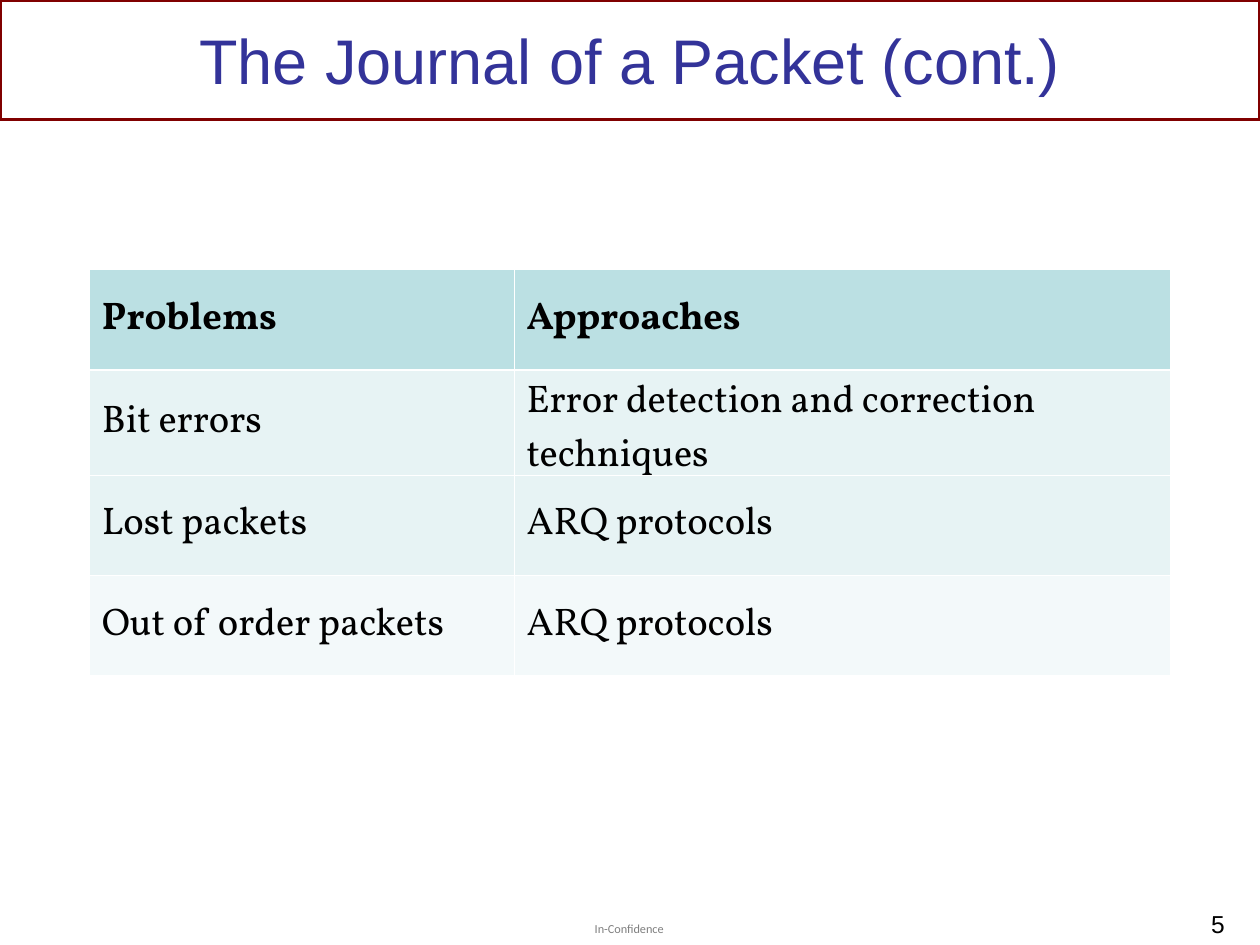
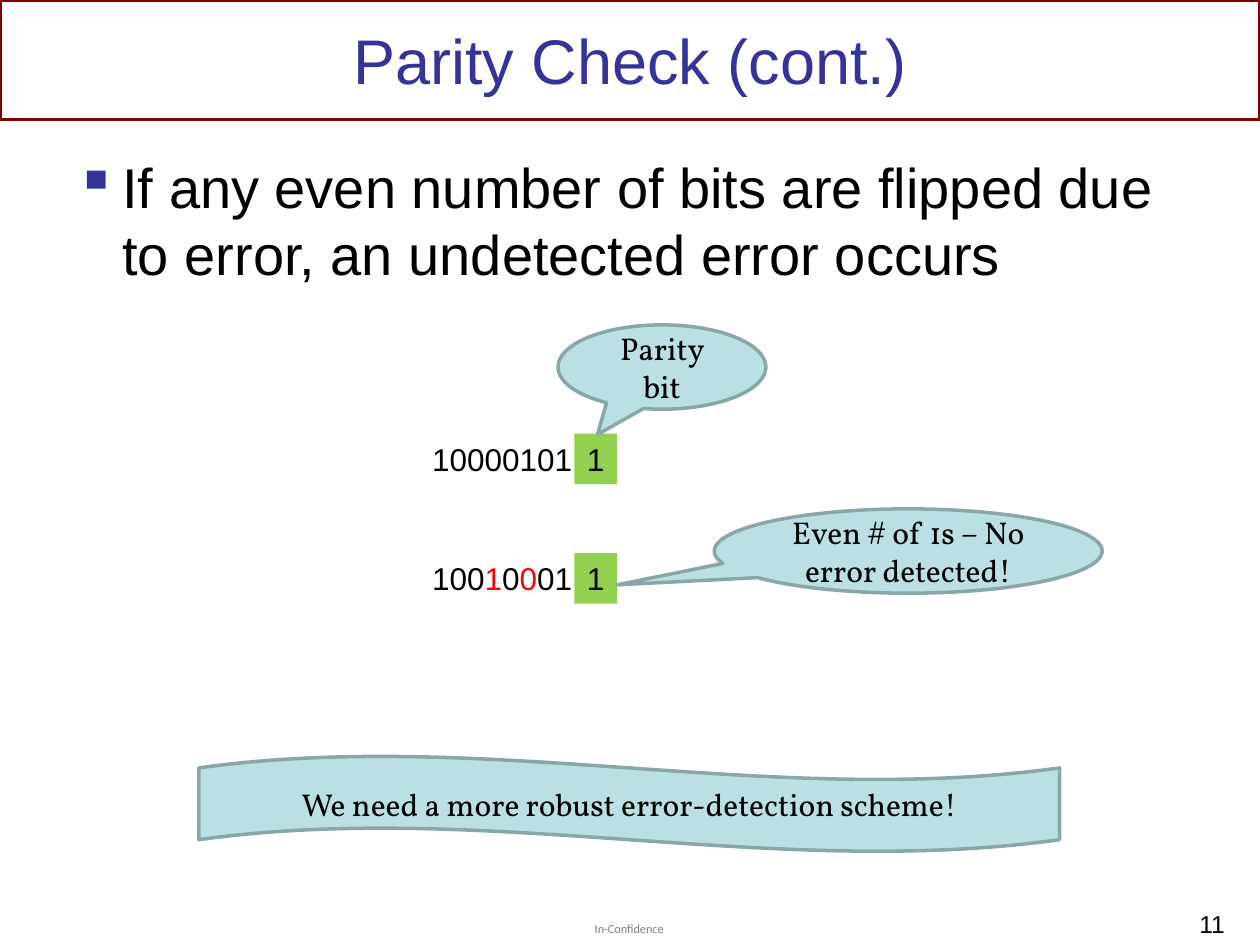
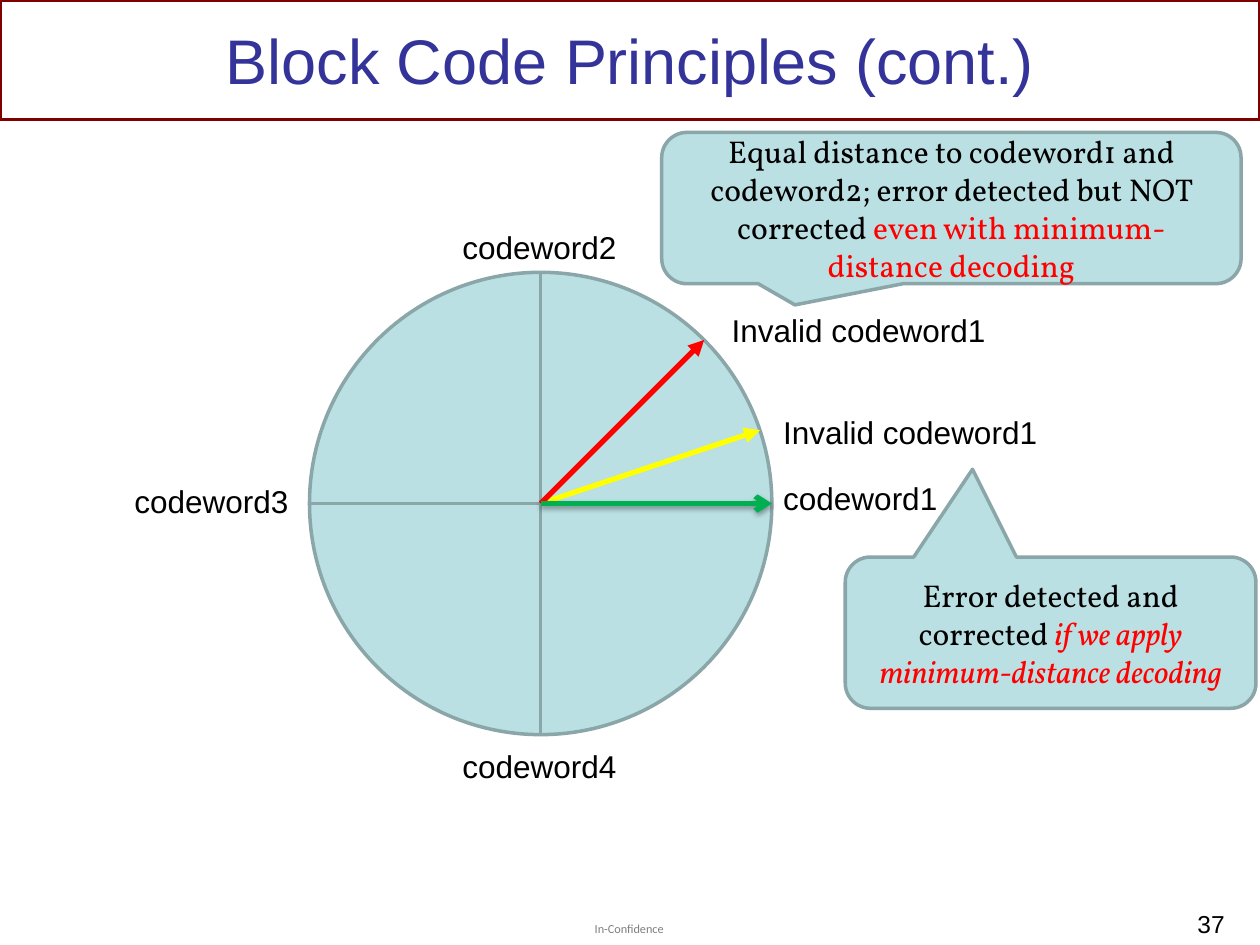
import math
import pptx
import pptx.util
import pptx.dml.color
import pptx.enum.shapes
import pptx.enum.text
import pptx.oxml
import pptx.oxml.ns

Cm, Pt = pptx.util.Cm, pptx.util.Pt
Kind = pptx.enum.shapes.MSO_SHAPE
Align = pptx.enum.text.PP_ALIGN
Anchor = pptx.enum.text.MSO_ANCHOR

# Shared look
HUES = {
    "band": "800000", "title": "333399", "ink": "000000", "foot": "7F7F7F",
    "aqua": "BBE0E3", "edge": "8AA6A8", "bit": "92D050", "red": "FF0000",
    "yellow": "FFFF00", "green": "00B050", "pale": "E7F3F4",
    "light": "F3F9FA", "white": "FFFFFF",
}
SANS, SERIF = "Arial", "Vollkorn"
FOOT = "In-Confidence"

# Content of the table slide
ROWS = [
    ("Problems", "Approaches"),
    ("Bit errors", "Error detection and correction techniques"),
    ("Lost packets", "ARQ protocols"),
    ("Out of order packets", "ARQ protocols"),
]
TINTS = ["aqua", "pale", "pale", "light"]
COLS, ROW = (8.56, 13.23), 2.02

# Content of the parity slide
POINT = "If any even number of bits are flipped due to error, an undetected error occurs"
WORDS = [
    (8.74, [("10000101", "ink")]),
    (11.15, [("100", "ink"), ("1", "red"), ("0", "ink"), ("0", "red"), ("01", "ink")]),
]
NOTES = [
    (Kind.OVAL_CALLOUT, (11.25, 6.55, 4.19, 1.7), (-0.31, 0.8), "Parity bit"),
    (Kind.OVAL_CALLOUT, (14.4, 10.26, 7.82, 1.7), (-0.75, 0.4),
     "Even # of 1s – No error detected!"),
    (Kind.WAVE, (4.01, 15.24, 17.35, 1.93), (),
     "We need a more robust error-detection scheme!"),
]

# Content of the block code slide
MID, RAD = (10.9, 10.15), 4.66
LABELS = [
    ("codeword2", 9.07, 4.47), ("codeword1", 15.54, 9.53),
    ("codeword3", 2.46, 9.6), ("codeword4", 9.07, 14.94),
    ("Invalid codeword1", 15.54, 8.2), ("Invalid codeword1", 14.5, 6.15),
]
RAYS = [("yellow", 18.5, "triangle"), ("red", 45, "triangle"), ("green", 0, "arrow")]
CLAIMS = [
    ((17.04, 11.23, 8.28, 3.05), (-0.19, -1.08),
     [("Error detected and corrected ", "ink"),
      ("if we apply minimum-distance decoding", "red", True)]),
    ((13.34, 2.67, 11.68, 3.05), (-0.27, 0.64),
     [("Equal distance to codeword1 and codeword2; error detected but NOT corrected ", "ink"),
      ("even with minimum-distance decoding", "red")]),
]


def rgb(hue):
    return pptx.dml.color.RGBColor.from_string(HUES[hue])


def add_xml(node, tag, body="", attrs=""):
    space = pptx.oxml.ns.nsdecls("a")
    node.append(pptx.oxml.parse_xml(f"<a:{tag} {space} {attrs}>{body}</a:{tag}>"))


def tint(tag, hue, extra=""):
    return f'<a:{tag}><a:srgbClr val="{HUES[hue]}">{extra}</a:srgbClr></a:{tag}>'


def write(frame, text, size=18, face=SANS, hue="ink", align=Align.LEFT, bold=False):
    """Fill the first paragraph with a string or a list of coloured runs."""
    para = frame.paragraphs[0]
    para.alignment = align
    font = para.font
    font.size, font.name, font.bold = Pt(size), face, bold
    if isinstance(text, str):
        para.add_run().text = text
        font.color.rgb = rgb(hue)
        return
    for words, shade, *slant in text:
        run = para.add_run()
        run.text = words
        run.font.color.rgb = rgb(shade)
        if slant:
            run.font.italic = True


def add_text(slide, box, text, wrap=True, anchor=Anchor.TOP, **look):
    frame = slide.shapes.add_textbox(*map(Cm, box)).text_frame
    frame.word_wrap, frame.vertical_anchor = wrap, anchor
    write(frame, text, **look)
    return frame


def add_form(slide, kind, box, fill=None, edge=None, adjust=()):
    form = slide.shapes.add_shape(kind, *map(Cm, box))
    form.shadow.inherit = False
    if fill:
        form.fill.solid()
        form.fill.fore_color.rgb = rgb(fill)
    else:
        form.fill.background()
    if edge:
        form.line.color.rgb, form.line.width = rgb(edge), Pt(2)
    else:
        form.line.fill.background()
    for i, value in enumerate(adjust):
        form.adjustments[i] = value
    return form


def add_note(slide, kind, box, adjust, text):
    frame = add_form(slide, kind, box, "aqua", "edge", adjust).text_frame
    frame.word_wrap, frame.vertical_anchor = True, Anchor.MIDDLE
    write(frame, text, face=SERIF, align=Align.CENTER)


def add_ray(slide, hue, angle, head):
    turn = math.radians(angle)
    tip = MID[0] + RAD * math.cos(turn), MID[1] - RAD * math.sin(turn)
    ray = slide.shapes.add_connector(
        pptx.enum.shapes.MSO_CONNECTOR.STRAIGHT, *map(Cm, MID + tip))
    ray.line.color.rgb, ray.line.width = rgb(hue), Pt(3)
    add_xml(ray.line._get_or_add_ln(), "tailEnd", attrs=f'type="{head}"')
    glow = ""
    if hue == "green":
        shade = tint("outerShdw", "ink", '<a:alpha val="38000"/>')
        glow = shade.replace("outerShdw", 'outerShdw blurRad="40000" dist="20000" '
                             'dir="5400000" rotWithShape="0"', 1)
    add_xml(ray._element.spPr, "effectLst", glow)


def start(deck, title, number):
    """Add a slide with the band, footer, title and number."""
    slide = deck.slides.add_slide(deck.slide_layouts[6])
    add_form(slide, Kind.RECTANGLE, (0, 0, 25.4, 2.41), edge="band")
    foot = add_text(slide, (11.99, 18.57, 1.45, 0.3), FOOT, wrap=False,
                    size=7, face="Calibri", hue="foot")
    foot.margin_left = foot.margin_right = foot.margin_top = foot.margin_bottom = 0
    add_text(slide, (1.27, 0.2, 22.86, 2.01), title, anchor=Anchor.MIDDLE,
             size=36, hue="title", align=Align.CENTER)
    add_text(slide, (19.35, 18.21, 5.59, 0.76), str(number), size=14, align=Align.RIGHT)
    return slide


def fill_table(slide):
    size = len(ROWS), len(COLS)
    grid = slide.shapes.add_table(
        *size, *map(Cm, (1.8, 5.44, sum(COLS), ROW * len(ROWS)))).table
    grid.horz_banding = False
    for col, width in zip(grid.columns, COLS):
        col.width = Cm(width)
    for r, row in enumerate(ROWS):
        grid.rows[r].height = Cm(ROW)
        for c, text in enumerate(row):
            cell = grid.cell(r, c)
            cell.vertical_anchor = Anchor.MIDDLE
            for side in "LRTB":
                thick = (r, side) in ((0, "B"), (1, "T"))
                width = Pt(1.63 if thick else 0.54)
                add_xml(cell._tc.get_or_add_tcPr(), "ln" + side,
                        tint("solidFill", "white"), f'w="{width}"')
            cell.fill.solid()
            cell.fill.fore_color.rgb = rgb(TINTS[r])
            write(cell.text_frame, text, size=22, face=SERIF, bold=r == 0)


def fill_parity(slide):
    # Bulleted statement
    frame = slide.shapes.add_textbox(*map(Cm, (1.27, 2.95, 22.86, 14.7))).text_frame
    frame.word_wrap = True
    props = frame.paragraphs[0]._p.get_or_add_pPr()
    props.set("marL", str(Cm(0.95)))
    props.set("indent", str(Cm(-0.95)))
    add_xml(props, "buClr", f'<a:srgbClr val="{HUES["title"]}"/>')
    add_xml(props, "buChar", attrs='char="▪"')
    write(frame, POINT, size=32)
    # Code words, each with its parity bit
    for top, bits in WORDS:
        add_text(slide, (8.46, top, 3.35, 1.02), bits, wrap=False)
        mark = add_form(slide, Kind.RECTANGLE, (11.58, top, 0.86, 1.02), "bit").text_frame
        mark.word_wrap, mark.vertical_anchor = False, Anchor.TOP
        write(mark, "1")
    for note in NOTES:
        add_note(slide, *note)


def fill_block(slide):
    box = MID[0] - RAD, MID[1] - RAD, 2 * RAD, 2 * RAD
    add_form(slide, Kind.FLOWCHART_OR, box, "aqua", "edge")
    for text, left, top in LABELS:
        width = 5.69 if " " in text else 3.66
        add_text(slide, (left, top, width, 1.02), text, wrap=False)
    for claim in CLAIMS:
        add_note(slide, Kind.ROUNDED_RECTANGULAR_CALLOUT, *claim)
    for ray in RAYS:
        add_ray(slide, *ray)


def main():
    deck = pptx.Presentation()
    deck.slide_width, deck.slide_height = Cm(25.4), Cm(19.05)
    fill_table(start(deck, "The Journal of a Packet (cont.)", 5))
    fill_parity(start(deck, "Parity Check (cont.)", 11))
    fill_block(start(deck, "Block Code Principles (cont.)", 37))
    deck.save("out.pptx")


if __name__ == "__main__":
    main()
